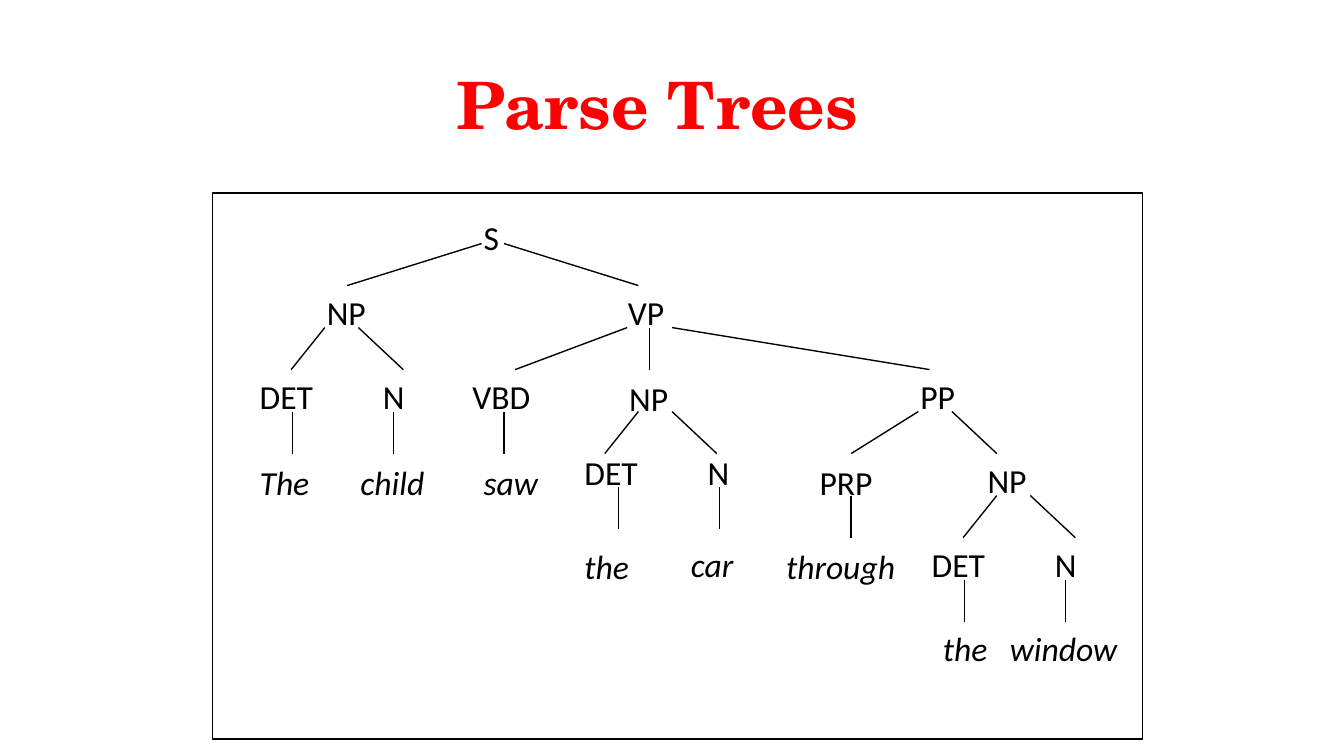
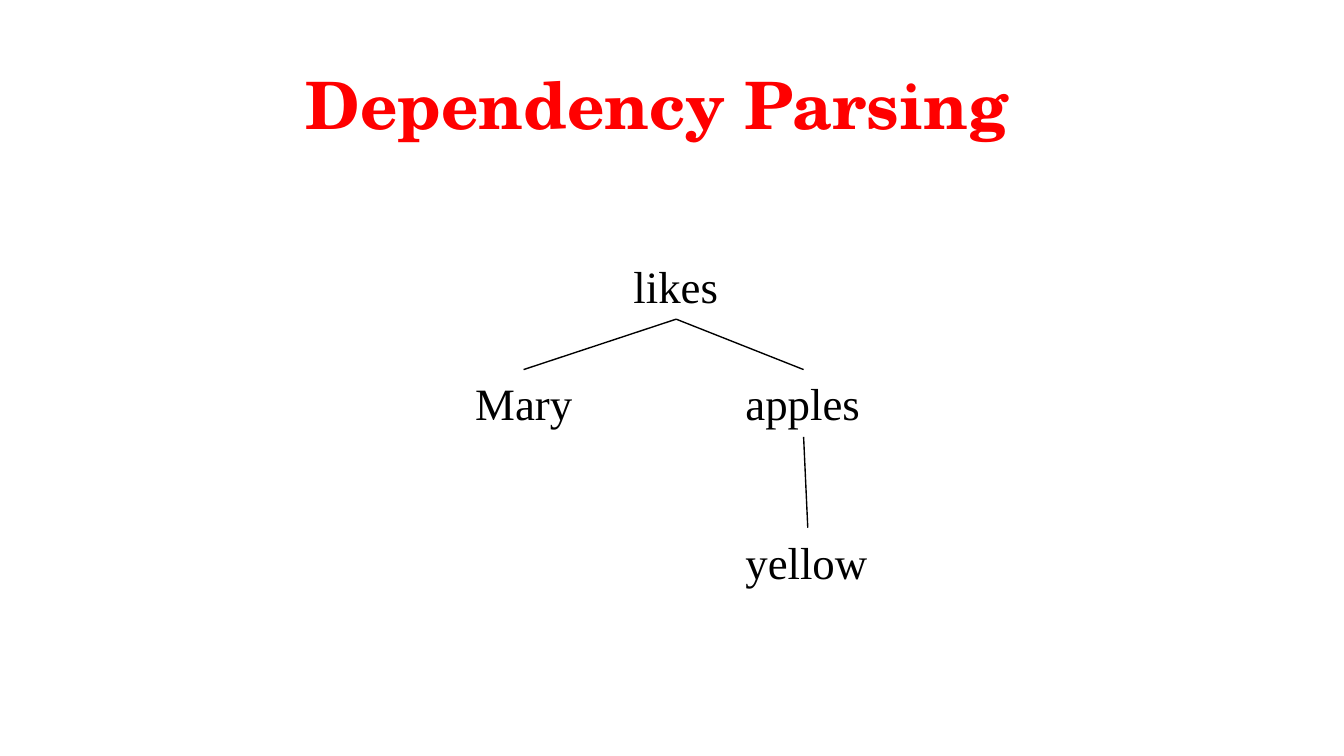
from lxml.etree import SubElement
from pptx import Presentation
from pptx.dml.color import RGBColor
from pptx.enum.shapes import MSO_CONNECTOR, MSO_SHAPE
from pptx.enum.text import MSO_ANCHOR, MSO_AUTO_SIZE, PP_ALIGN
from pptx.oxml.ns import qn
from pptx.util import Pt

PX = 9525  # 96 px to the inch
SLIDE_SIZE = (960, 540)
RED = RGBColor(0xFF, 0x00, 0x00)
BLACK = RGBColor(0x00, 0x00, 0x00)
TITLE_FONT = "TeX Gyre Schola"
TREE_FONT = "Calibri"
DEPENDENCY_FONT = "Times New Roman"
LINE_WIDTH = Pt(0.75)

TITLE_BOX = (27, 41, 885, 74)
FRAME_BOX = (152, 138, 664, 390)
DEPENDENCY_BOX = (330, 180, 301, 245)

# Parse tree, relative to its frame: text, left, top, width
CATEGORIES = [
    ("S", 184, 12, 32),
    ("NP", 72, 66, 56), ("VP", 287, 66, 56),
    ("DET", 24, 126, 64), ("N", 112, 126, 56), ("VBD", 176, 126, 72),
    ("NP", 288, 127, 56), ("PP", 496, 126, 56),
    ("DET", 256, 180, 64), ("N", 344, 180, 56),
    ("PRP", 424, 187, 64), ("NP", 544, 186, 56),
    ("DET", 504, 246, 64), ("N", 592, 246, 56),
]
WORDS = [
    ("The", 24, 187, 64), ("child", 96, 187, 72), ("saw", 184, 187, 72),
    ("the", 256, 247, 56), ("car", 332, 246, 76), ("through", 400, 247, 112),
    ("the", 512, 306, 64), ("window", 560, 306, 104),
]
# Top of each row of branches: (parent x, child x)
BRANCHES = {
    36: [(192, 96), (208, 304)],
    96: [(80, 56), (104, 136), (296, 216), (312, 312), (328, 512)],
    156: [(57, 57), (129, 129), (208, 208), (304, 280), (328, 360),
          (504, 456), (528, 560)],
    210: [(290, 290), (362, 362)],
    216: [(456, 456), (560, 536), (584, 616)],
    276: [(537, 537), (609, 609)],
}
BRANCH_DROP = 30
NODE_HEIGHT = 38

# Dependency tree, relative to its box: left, top, width
DEPENDENCY_WORDS = {
    "likes": (113, 0, 81),
    "Mary": (0, 84, 89),
    "apples": (193, 84, 102),
    "yellow": (193, 197, 108),
}
DEPENDENCIES = [("likes", "Mary"), ("likes", "apples"), ("apples", "yellow")]
WORD_HEIGHT = 48


def scaled(*lengths):
    return [length * PX for length in lengths]


def add_run(paragraph, text, font_name, size, color=BLACK, bold=False, italic=False):
    run = paragraph.add_run()
    run.text = text
    font = run.font
    font.name, font.size, font.bold, font.italic = font_name, Pt(size), bold, italic
    font.color.rgb = color


def add_label(slide, box, text, font_name, size, italic=False, wrap=True):
    frame = slide.shapes.add_textbox(*scaled(*box)).text_frame
    frame.word_wrap = wrap
    frame.auto_size = MSO_AUTO_SIZE.SHAPE_TO_FIT_TEXT
    add_run(frame.paragraphs[0], text, font_name, size, italic=italic)


def add_line(slide, start, end):
    connector = slide.shapes.add_connector(MSO_CONNECTOR.STRAIGHT, *scaled(*start, *end))
    connector.line.color.rgb = BLACK
    connector.line.width = LINE_WIDTH
    SubElement(connector.element.spPr, qn("a:effectLst"))


def add_titled_slide(presentation, text):
    slide = presentation.slides.add_slide(presentation.slide_layouts[5])
    title = slide.shapes.title
    title.left, title.top, title.width, title.height = scaled(*TITLE_BOX)
    frame = title.text_frame
    frame.auto_size = MSO_AUTO_SIZE.NONE
    frame.vertical_anchor = MSO_ANCHOR.TOP
    paragraph = frame.paragraphs[0]
    paragraph.alignment = PP_ALIGN.CENTER
    add_run(paragraph, text, TITLE_FONT, 35, RED, bold=True)
    return slide


def draw_parse_tree(slide, box):
    left, top = box[:2]

    # Frame
    frame = slide.shapes.add_shape(MSO_SHAPE.RECTANGLE, *scaled(*box))
    frame.shadow.inherit = False
    frame.fill.background()
    frame.line.color.rgb = BLACK
    frame.line.width = LINE_WIDTH

    # Categories upright, sentence words in italics
    for nodes, italic in ((CATEGORIES, False), (WORDS, True)):
        for text, x, y, width in nodes:
            node_box = (left + x, top + y, width, NODE_HEIGHT)
            add_label(slide, node_box, text, TREE_FONT, 18, italic)

    # Branches
    for y, row in BRANCHES.items():
        for parent_x, child_x in row:
            add_line(slide, (left + parent_x, top + y),
                     (left + child_x, top + y + BRANCH_DROP))


def draw_dependency_tree(slide, box):
    left, top = box[:2]

    # Words
    for text, (x, y, width) in DEPENDENCY_WORDS.items():
        word_box = (left + x, top + y, width, WORD_HEIGHT)
        add_label(slide, word_box, text, DEPENDENCY_FONT, 24, wrap=False)

    # Links from the bottom centre of a head to the top centre of a dependent
    def top_centre(word):
        x, y, width = DEPENDENCY_WORDS[word]
        return left + x + width // 2, top + y

    for head, dependent in DEPENDENCIES:
        head_x, head_y = top_centre(head)
        add_line(slide, (head_x, head_y + WORD_HEIGHT), top_centre(dependent))


def main():
    presentation = Presentation()
    presentation.slide_width, presentation.slide_height = scaled(*SLIDE_SIZE)
    draw_parse_tree(add_titled_slide(presentation, "Parse Trees"), FRAME_BOX)
    draw_dependency_tree(add_titled_slide(presentation, "Dependency Parsing"),
                         DEPENDENCY_BOX)
    presentation.save("out.pptx")


if __name__ == "__main__":
    main()
